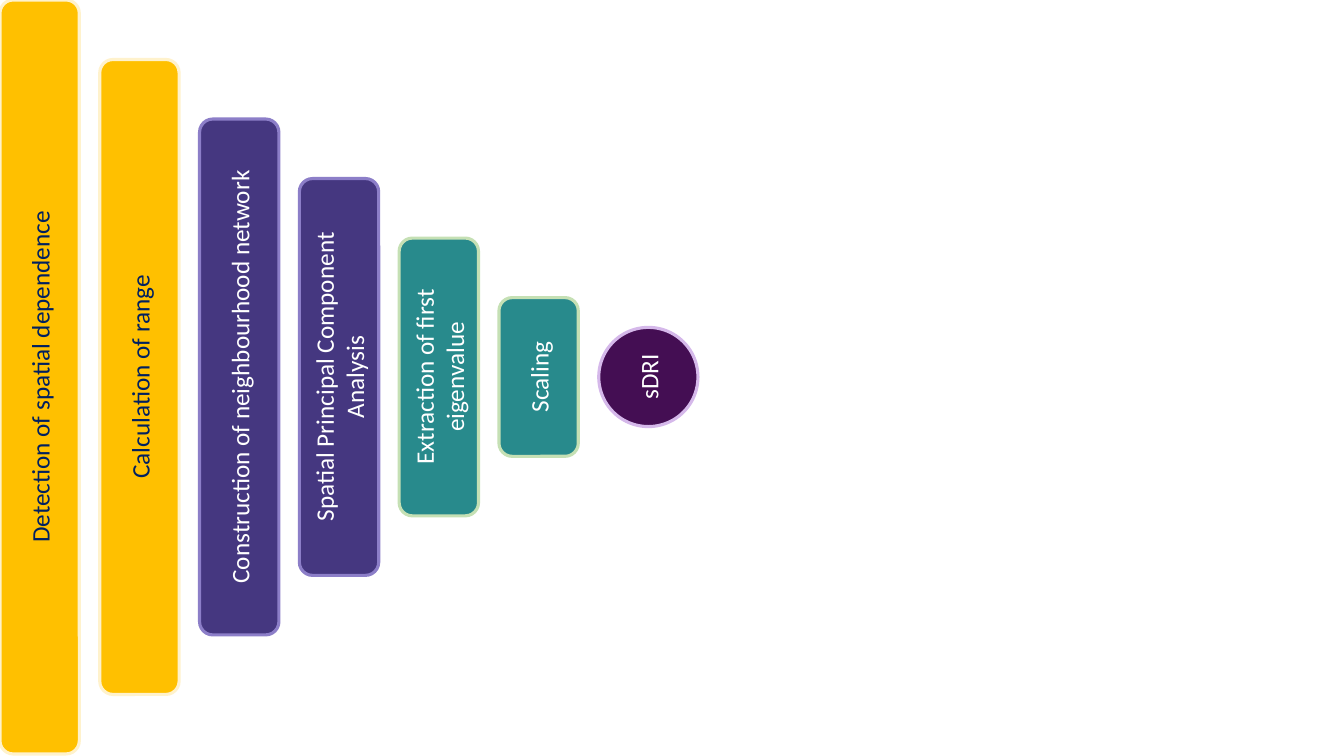
from pptx import Presentation
from pptx.dml.color import RGBColor
from pptx.enum.shapes import MSO_SHAPE as Shape
from pptx.enum.text import MSO_ANCHOR as Anchor, PP_ALIGN as Align
from pptx.util import Cm, Pt

COLOURS = {
    "amber": "FFC000", "cream": "FFF2CC", "navy": "002060",
    "indigo": "453780", "lavender": "8C7EC8",
    "teal": "288A8C", "mint": "C5E0B4",
    "plum": "440E53", "lilac": "D5B8EA", "white": "FFFFFF",
}

# Fill, outline and text colour of each stage
DETECT = ("amber", "cream", "navy")
NETWORK = ("indigo", "lavender", "white")
EXTRACT = ("teal", "mint", "white")
RESULT = ("plum", "lilac", "white")

STEPS = [
    ("Detection of spatial dependence", DETECT),
    ("Calculation of range", DETECT),
    ("Construction of neighbourhood network", NETWORK),
    ("Spatial Principal Component Analysis", NETWORK),
    ("Extraction of first eigenvalue", EXTRACT),
    ("Scaling", EXTRACT),
]

# Funnel geometry in centimetres
PITCH = 2.515
BAR_WIDTH = 2
TALLEST = 19
SHRINK = 3
CIRCLE = 2.5
MIDDLE = TALLEST / 2

deck = Presentation()
deck.slide_width = Cm(33.87)
deck.slide_height = Cm(19.05)
page = deck.slides.add_slide(deck.slide_layouts[6])


def colour(name):
    return RGBColor.from_string(COLOURS[name])


def add_step(kind, index, width, height, text, palette):
    """Add one step, centred on the funnel's axis, with text reading upwards."""
    fill, outline, ink = palette
    box = page.shapes.add_shape(kind, Cm(index * PITCH), Cm(MIDDLE - height / 2),
                                Cm(width), Cm(height))
    box.shadow.inherit = False
    box.fill.solid()
    box.fill.fore_color.rgb = colour(fill)
    box.line.color.rgb = colour(outline)
    box.line.width = Pt(2.25)

    frame = box.text_frame
    frame.word_wrap = True
    frame.vertical_anchor = Anchor.MIDDLE
    box.element.txBody.bodyPr.set("vert", "vert270")
    para = frame.paragraphs[0]
    para.alignment = Align.CENTER
    span = para.add_run()
    span.text = text
    span.font.name = "Calibri"
    span.font.size = Pt(18)
    span.font.color.rgb = colour(ink)


# Bars, each shorter than the one before
for index, (text, palette) in enumerate(STEPS):
    add_step(Shape.ROUNDED_RECTANGLE, index, BAR_WIDTH, TALLEST - index * SHRINK,
             text, palette)

# Resulting index at the tip
add_step(Shape.OVAL, len(STEPS), CIRCLE, CIRCLE, "sDRI", RESULT)

deck.save("out.pptx")
